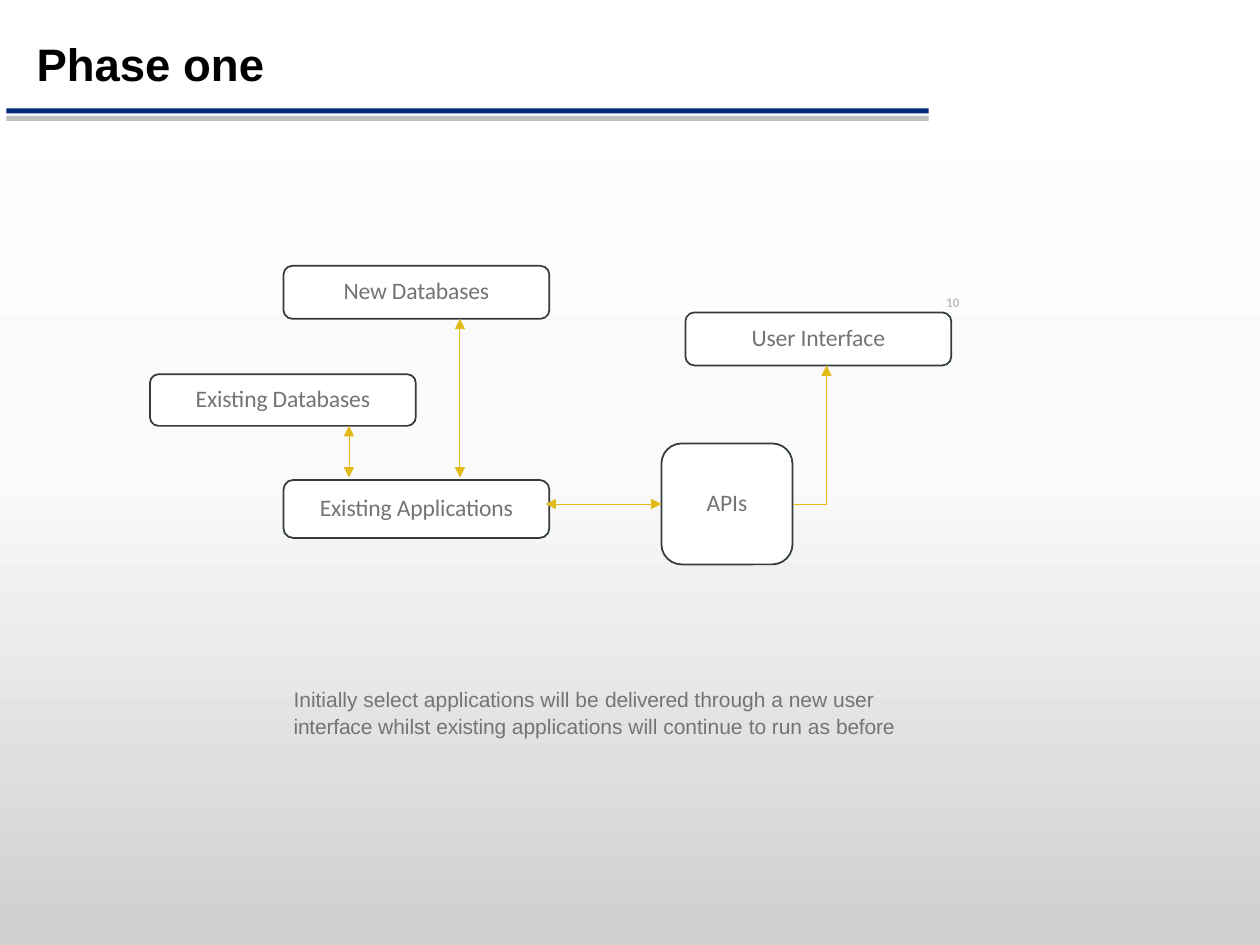
import copy

import pptx
import pptx.util
import pptx.dml.color
import pptx.enum.shapes
import pptx.enum.text
import pptx.oxml.ns
from lxml import etree
from pptx.util import Inches

RGBColor = pptx.dml.color.RGBColor
MSO_SHAPE = pptx.enum.shapes.MSO_SHAPE
ANCHOR = pptx.enum.text.MSO_ANCHOR
ALIGN = pptx.enum.text.PP_ALIGN
qn = pptx.oxml.ns.qn

BLACK = RGBColor(0x00, 0x00, 0x00)
WHITE = RGBColor(0xFF, 0xFF, 0xFF)
NAVY = RGBColor(0x00, 0x29, 0x7A)
SILVER = RGBColor(0xBF, 0xBF, 0xBF)
TEXT_GRAY = RGBColor(0x73, 0x75, 0x72)
OUTLINE = RGBColor(0x33, 0x3C, 0x3C)
GOLD = RGBColor(0xE2, 0xBB, 0x19)
BACKGROUND = [(0, RGBColor(0xCF, 0xCF, 0xCF)),
              (0.5, RGBColor(0xFA, 0xFA, 0xFA)),
              (1, WHITE)]
TIGHT = "-10"  # character spacing, hundredths of a point


def write(tf, runs, font, size, color, bold=False, align=ALIGN.LEFT,
          anchor=ANCHOR.TOP, wrap=False):
    tf.margin_left = tf.margin_right = tf.margin_bottom = 0
    tf.margin_top = Inches(0.01)
    tf.auto_size = pptx.enum.text.MSO_AUTO_SIZE.NONE
    tf.word_wrap = wrap
    tf.vertical_anchor = anchor
    p = tf.paragraphs[0]
    p.alignment = align
    for text, spacing in runs:
        r = p.add_run()
        r.text = text
        r.font.name = font
        r.font.size = pptx.util.Pt(size)
        r.font.bold = bold
        r.font.color.rgb = color
        r._r.get_or_add_rPr().set("spc", spacing)
    return p


def style_flow(sp, heads):
    sp.line.color.rgb = GOLD
    sp.line.width = pptx.util.Pt(0.5)
    ln = sp.line._get_or_add_ln()
    for end in heads:
        etree.SubElement(ln, qn("a:" + end), type="triangle", w="med", len="med")
    etree.SubElement(sp._element.spPr, qn("a:effectLst"))


prs = pptx.Presentation()
prs.slide_width, prs.slide_height = Inches(10), Inches(7.5)
s = prs.slides.add_slide(prs.slide_layouts[5])

# Background gradient, dark at the bottom
fill = s.background.fill
fill.gradient()
fill.gradient_angle = 90
last = list(s._element.iter(qn("a:gs")))[-1]
last.addnext(copy.deepcopy(last))
for stop, (position, color) in zip(fill.gradient_stops, BACKGROUND):
    stop.position = position
    stop.color.rgb = color

# Double rule under the title
for y, color in [(0.92, SILVER), (0.86, NAVY)]:
    bar = s.shapes.add_shape(MSO_SHAPE.RECTANGLE, Inches(0.05), Inches(y),
                             Inches(7.32), Inches(0.04))
    bar.shadow.inherit = False
    bar.fill.solid()
    bar.fill.fore_color.rgb = color
    bar.line.fill.background()

# Slide number
sp = s.shapes.add_textbox(Inches(7.51), Inches(2.33), Inches(0.13), Inches(0.14))
write(sp.text_frame, [("10", "0")], "Calibri", 7.5, SILVER, bold=True)

# Title
title = s.shapes.title
title.left, title.top = Inches(0.29), Inches(0.27)
title.width, title.height = Inches(2.37), Inches(0.45)
write(title.text_frame, [("Phase one", "0")], "Arial", 26, BLACK, bold=True,
      anchor=ANCHOR.MIDDLE)

# System boxes
boxes = {}
for name, x, y, w, h in [
    ("New Databases", 2.25, 2.11, 2.11, 0.42),
    ("Existing Databases", 1.19, 2.97, 2.11, 0.41),
    ("Existing Applications", 2.25, 3.81, 2.11, 0.46),
    ("APIs", 5.25, 3.52, 1.04, 0.96),
    ("User Interface", 5.44, 2.48, 2.11, 0.42),
]:
    sp = s.shapes.add_shape(MSO_SHAPE.ROUNDED_RECTANGLE, Inches(x), Inches(y),
                            Inches(w), Inches(h))
    sp.shadow.inherit = False
    sp.fill.solid()
    sp.fill.fore_color.rgb = WHITE
    sp.line.color.rgb = OUTLINE
    sp.line.width = pptx.util.Pt(1)
    write(sp.text_frame, [(name, "-5")], "Calibri", 13.5, TEXT_GRAY,
          align=ALIGN.CENTER, anchor=ANCHOR.MIDDLE)
    sp.text_frame.margin_bottom = Inches(0.04)
    boxes[name] = sp

# Two-way data flows
flows = []
for x1, y1, x2, y2 in [(2.77, 3.38, 2.77, 3.79),
                       (3.65, 2.53, 3.65, 3.79),
                       (4.33, 4, 5.25, 4)]:
    line = s.shapes.add_connector(
        pptx.enum.shapes.MSO_CONNECTOR.STRAIGHT,
        Inches(x1), Inches(y1), Inches(x2), Inches(y2))
    style_flow(line, ("headEnd", "tailEnd"))
    flows.append(line)
flows[-1].end_connect(boxes["APIs"], 1)

# Bent flow from the APIs up to the user interface
fb = s.shapes.build_freeform(Inches(6.29), Inches(4))
fb.add_line_segments([(Inches(6.56), Inches(4)), (Inches(6.56), Inches(2.9))],
                     close=False)
sp = fb.convert_to_shape()
sp.fill.background()
style_flow(sp, ("tailEnd",))

# Explanation
sp = s.shapes.add_textbox(Inches(2.33), Inches(5.42), Inches(5.05), Inches(0.45))
p = write(sp.text_frame,
          [("Initially select applications will be ", "0"),
           ("delivered ", TIGHT), ("through a new user ", "0"),
           ("interface ", TIGHT), ("whilst ", "0"), ("existing ", TIGHT),
           ("applications will continue ", "0"), ("to ", TIGHT),
           ("run as ", "0"), ("before", TIGHT)],
          "Arial", 12, TEXT_GRAY, wrap=True)
p.line_spacing = pptx.util.Pt(15.7)

prs.save("out.pptx")
